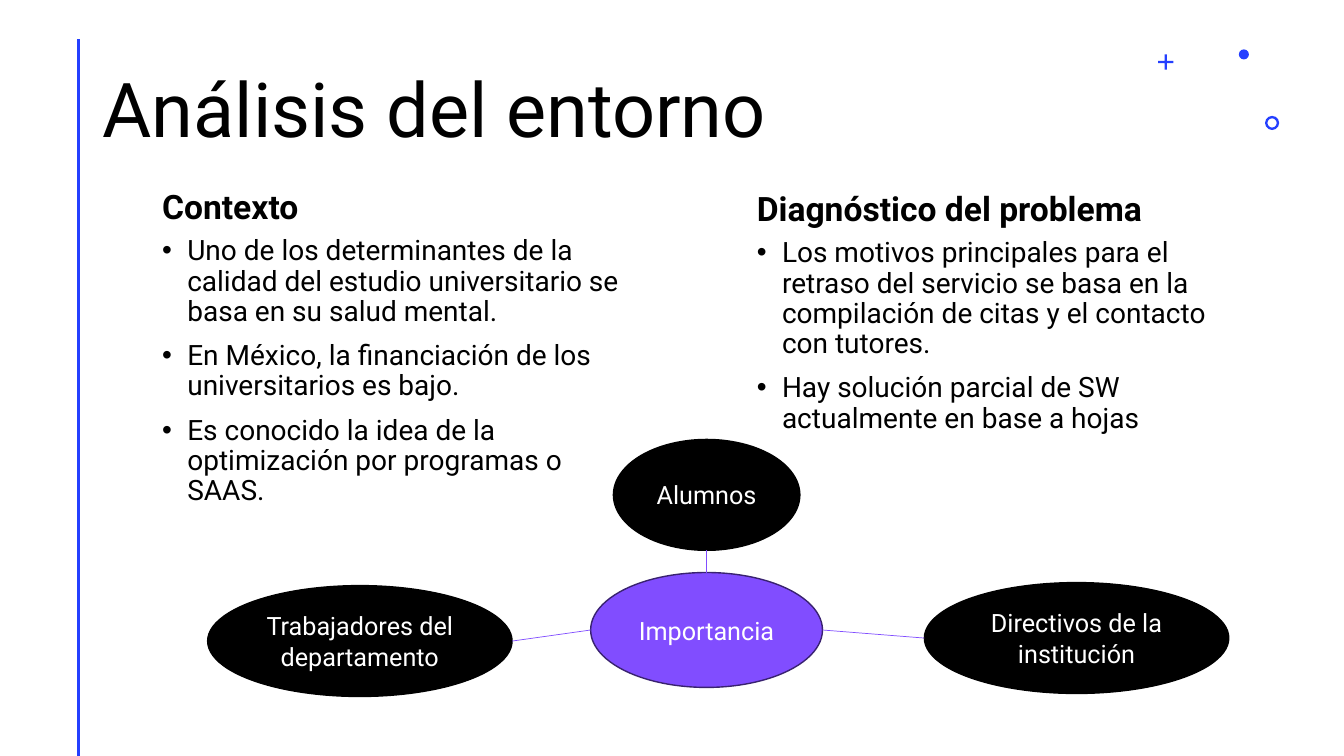
"""Build the slide 'Análisis del entorno' on a grid of tenth-of-an-inch cells."""
from dataclasses import dataclass
from typing import Optional

from lxml.etree import SubElement
from pptx import Presentation
from pptx.dml.color import RGBColor
from pptx.enum.shapes import MSO_CONNECTOR as Connector, MSO_SHAPE as Shape
from pptx.enum.text import MSO_ANCHOR as Anchor, PP_ALIGN as Align
from pptx.oxml.ns import qn
from pptx.util import Inches, Pt

CELL = Inches(0.1)
COLUMNS, ROWS = 133.33, 75


@dataclass(frozen=True)
class Theme:
    """Colours, type sizes and line widths of the slide."""
    font: str = "Roboto"
    ink: str = "000000"
    paper: str = "FFFFFF"
    accent: str = "243FFF"
    hub: str = "814DFF"
    hub_edge: str = "392270"
    title: int = 54
    heading: int = 24
    body: int = 20
    label: int = 18
    gap: int = 10
    rule: float = 2
    edge: float = 1
    link: float = 0.5


@dataclass(frozen=True)
class Area:
    """A rectangle in grid columns and rows."""
    column: float
    row: float
    width: float
    height: float

    def emu(self) -> list[int]:
        """Return the rectangle in slide units."""
        return [cells(n) for n in (self.column, self.row, self.width, self.height)]

    def point(self, across: float, down: float) -> tuple[float, float]:
        """Return the point at the given shares of width and height."""
        return self.column + across * self.width, self.row + down * self.height


@dataclass(frozen=True)
class Mark:
    """A small decoration."""
    kind: Shape
    area: Area
    adjustment: Optional[float] = None


@dataclass(frozen=True)
class Topic:
    """A heading with bullets under it."""
    column: float
    row: float
    width: float
    heading: str
    bullets: tuple[str, ...]


@dataclass(frozen=True)
class Node:
    """An ellipse, with the shares where its link leaves it and meets the hub."""
    text: str
    area: Area
    leaves: tuple[float, float] = (0, 0)
    meets: tuple[float, float] = (0, 0)


THEME = Theme()
TOP, LEFT, BOTTOM, RIGHT = (0.5, 0), (0, 0.5), (0.5, 1), (1, 0.5)
HEADING_ROWS, BULLET_ROWS = 9, 40.3

MARKS = (
    Mark(Shape.CROSS, Area(114.9, 5.4, 1.5, 1.5), 0.43),
    Mark(Shape.DONUT, Area(125.5, 11.5, 1.4, 1.4), 0.17),
    Mark(Shape.OVAL, Area(122.9, 4.9, 1, 1)),
)
TOPICS = (
    Topic(15.1, 14, 49.8, "Contexto", (
        "Uno de los determinantes de la calidad del estudio universitario se basa en su salud mental.",
        "En México, la financiación de los universitarios es bajo.",
        "Es conocido la idea de la optimización por programas o SAAS.",
    )),
    Topic(74.1, 14.2, 50, "Diagnóstico del problema", (
        "Los motivos principales para el retraso del servicio se basa en la compilación de citas "
        "y el contacto con tutores.",
        "Hay solución parcial de SW actualmente en base a hojas",
    )),
)
HUB = Node("Importancia", Area(58.6, 56.8, 23, 11.4))
NODES = (
    Node("Trabajadores del departamento", Area(20.6, 58.1, 30.2, 11), RIGHT, LEFT),
    Node("Directivos de la institución", Area(91.7, 57.8, 30.2, 11), LEFT, RIGHT),
    Node("Alumnos", Area(60.85, 43.6, 18.5, 11), BOTTOM, TOP),
)


def cells(count: float) -> int:
    """Convert grid cells to slide units."""
    return round(count * CELL)


def colour(code: str) -> RGBColor:
    """Convert a hexadecimal code to a colour."""
    return RGBColor.from_string(code)


def write(frame, *lines: str, size: int, ink: str = THEME.ink, bold: bool = False,
          bullet: bool = False, align: Align = Align.LEFT, anchor: Anchor = Anchor.TOP,
          spacing: Optional[float] = 0.9) -> None:
    """Fill a text frame with one paragraph per line."""
    frame.word_wrap = True
    frame.vertical_anchor = anchor
    for index, line in enumerate(lines):
        para = frame.add_paragraph() if index else frame.paragraphs[0]
        para.alignment = align
        if spacing:
            para.line_spacing = spacing
        if index:
            para.space_before = Pt(THEME.gap)
        if bullet:
            properties = para._p.get_or_add_pPr()
            properties.set("marL", str(cells(2.5)))
            properties.set("indent", str(cells(-2.5)))
            SubElement(properties, qn("a:buFont")).set("typeface", "Arial")
            SubElement(properties, qn("a:buChar")).set("char", "•")
        span = para.add_run()
        span.text = line
        span.font.name = THEME.font
        span.font.size = Pt(size)
        span.font.bold = bold
        span.font.color.rgb = colour(ink)


def add_text(page, area: Area, *lines: str, **style) -> None:
    """Add a text box."""
    box = page.shapes.add_textbox(*area.emu())
    write(box.text_frame, *lines, **style)


def add_line(page, start: tuple[float, float], end: tuple[float, float],
             ink: str, width: float) -> None:
    """Add a straight line between two grid points."""
    line = page.shapes.add_connector(Connector.STRAIGHT, *map(cells, start + end))
    line.line.color.rgb = colour(ink)
    line.line.width = Pt(width)
    SubElement(line._element.spPr, qn("a:effectLst"))


def add_figure(page, kind: Shape, area: Area, fill: str, edge: Optional[str] = None):
    """Add a filled shape, outlined if an edge colour is given."""
    figure = page.shapes.add_shape(kind, *area.emu())
    figure.shadow.inherit = False
    figure.fill.solid()
    figure.fill.fore_color.rgb = colour(fill)
    if edge:
        figure.line.color.rgb = colour(edge)
        figure.line.width = Pt(THEME.edge)
    else:
        figure.line.fill.background()
    return figure


def add_mark(page, mark: Mark) -> None:
    """Add a decoration."""
    figure = add_figure(page, mark.kind, mark.area, THEME.accent)
    if mark.adjustment is not None:
        figure.adjustments[0] = mark.adjustment


def add_topic(page, topic: Topic) -> None:
    """Add a heading and its bullets."""
    add_text(page, Area(topic.column, topic.row, topic.width, HEADING_ROWS), topic.heading,
             size=THEME.heading, bold=True, anchor=Anchor.BOTTOM)
    add_text(page, Area(topic.column, topic.row + HEADING_ROWS, topic.width, BULLET_ROWS),
             *topic.bullets, size=THEME.body, bullet=True)


def add_node(page, node: Node, fill: str, edge: str) -> None:
    """Add a labelled ellipse."""
    ellipse = add_figure(page, Shape.OVAL, node.area, fill, edge)
    write(ellipse.text_frame, node.text, size=THEME.label, ink=THEME.paper,
          align=Align.CENTER, anchor=Anchor.MIDDLE, spacing=None)


def main() -> None:
    """Build and save the deck."""
    deck = Presentation()
    deck.slide_width, deck.slide_height = cells(COLUMNS), cells(ROWS)
    page = deck.slides.add_slide(deck.slide_layouts[6])
    add_line(page, (7.8, 3.9), (7.8, ROWS), THEME.accent, THEME.rule)
    for mark in MARKS:
        add_mark(page, mark)
    add_text(page, Area(9.2, 4, 115, 14.5), "Análisis del entorno",
             size=THEME.title, anchor=Anchor.MIDDLE)
    for topic in TOPICS:
        add_topic(page, topic)
    add_node(page, HUB, THEME.hub, THEME.hub_edge)
    for node in NODES:
        add_node(page, node, THEME.ink, THEME.ink)
        add_line(page, node.area.point(*node.leaves), HUB.area.point(*node.meets),
                 THEME.hub, THEME.link)
    deck.save("out.pptx")


if __name__ == "__main__":
    main()
